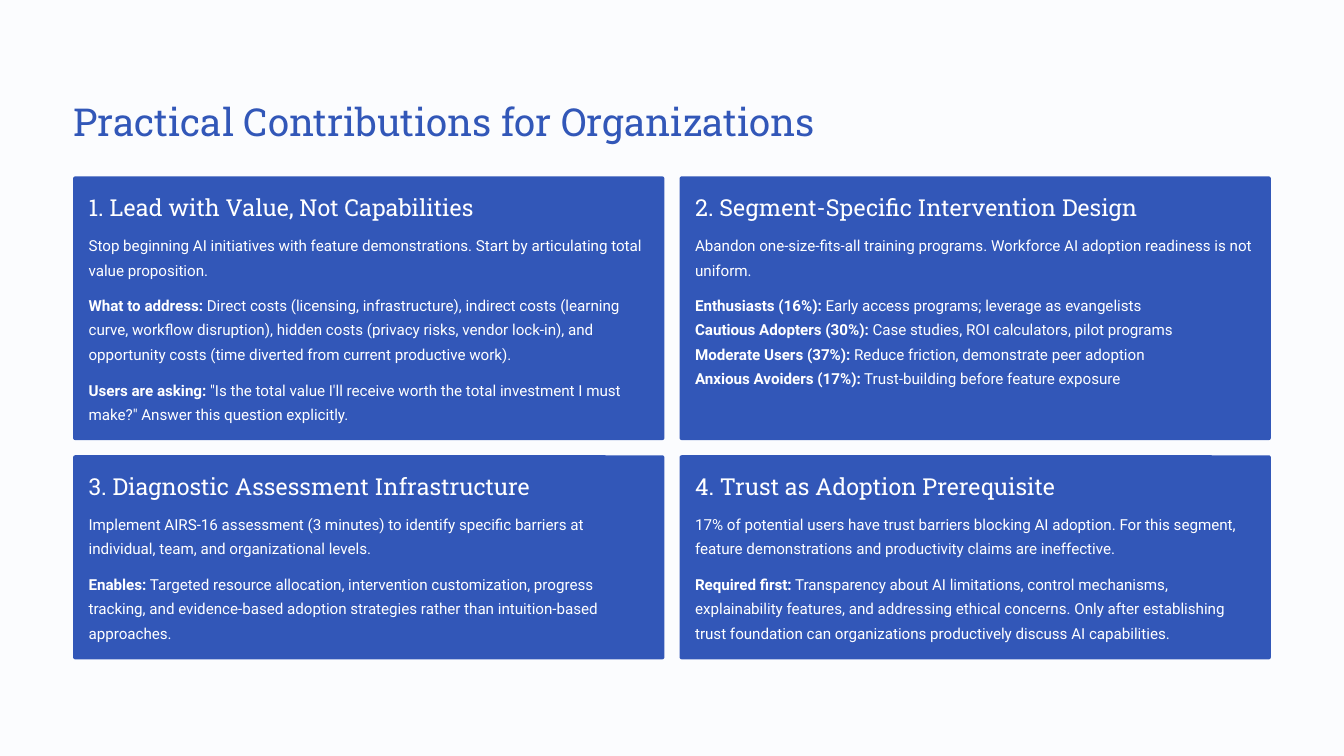
from pptx import Presentation
from pptx.dml.color import RGBColor
from pptx.enum.shapes import MSO_SHAPE
from pptx.enum.text import MSO_ANCHOR
from pptx.util import Inches, Pt

COLORS = {"background": "FBFCFE", "blue": "3257B8", "white": "FFFFFF"}
HEADING_FONT, BODY_FONT = "Roboto Slab", "Roboto"

LEFT, TOP = 0.87, 2.1
CARD_WIDTH, ROW_HEIGHTS, GAP = 7.04, (3.14, 2.43), 0.18
PADDING = 0.185
HEADING_HEIGHT, BODY_OFFSET = 0.35, 0.64
LINE_HEIGHT, BLOCK_GAP = 0.297, 0.117
CORNER_RADIUS = 0.027

# Each card: heading, heading width, blocks.
# Each block: lines it takes up, paragraphs of (bold lead, text).
CARDS = [
    ("1. Lead with Value, Not Capabilities", 4.6, [
        (2, [("", "Stop beginning AI initiatives with feature demonstrations. "
                  "Start by articulating total value proposition.")]),
        (3, [("What to address:",
              " Direct costs (licensing, infrastructure), indirect costs (learning curve, "
              "workflow disruption), hidden costs (privacy risks, vendor lock-in), and "
              "opportunity costs (time diverted from current productive work).")]),
        (2, [("Users are asking:",
              " \"Is the total value I'll receive worth the total investment I must make?\" "
              "Answer this question explicitly.")]),
    ]),
    ("2. Segment-Specific Intervention Design", 5.28, [
        (2, [("", "Abandon one-size-fits-all training programs. "
                  "Workforce AI adoption readiness is not uniform.")]),
        (4, [("Enthusiasts (16%):", " Early access programs; leverage as evangelists"),
             ("Cautious Adopters (30%):", " Case studies, ROI calculators, pilot programs"),
             ("Moderate Users (37%):", " Reduce friction, demonstrate peer adoption"),
             ("Anxious Avoiders (17%):", " Trust-building before feature exposure")]),
    ]),
    ("3. Diagnostic Assessment Infrastructure", 5.26, [
        (2, [("", "Implement AIRS-16 assessment (3 minutes) to identify specific barriers "
                  "at individual, team, and organizational levels.")]),
        (3, [("Enables:",
              " Targeted resource allocation, intervention customization, progress tracking, "
              "and evidence-based adoption strategies rather than intuition-based approaches.")]),
    ]),
    ("4. Trust as Adoption Prerequisite", 4.3, [
        (2, [("", "17% of potential users have trust barriers blocking AI adoption. For this "
                  "segment, feature demonstrations and productivity claims are ineffective.")]),
        (3, [("Required first:",
              " Transparency about AI limitations, control mechanisms, explainability features, "
              "and addressing ethical concerns. Only after establishing trust foundation can "
              "organizations productively discuss AI capabilities.")]),
    ]),
]


def color(name):
    return RGBColor.from_string(COLORS[name])


def add_text(slide, box, paragraphs, font, size, line_spacing, color_name, wrap=True):
    """Place paragraphs, each a (bold lead, text) pair, in a box without margins."""
    frame = slide.shapes.add_textbox(*map(Inches, box)).text_frame
    frame.word_wrap = wrap
    frame.vertical_anchor = MSO_ANCHOR.TOP
    frame.margin_left = frame.margin_right = frame.margin_top = frame.margin_bottom = 0
    for index, parts in enumerate(paragraphs):
        paragraph = frame.add_paragraph() if index else frame.paragraphs[0]
        paragraph.line_spacing = Pt(line_spacing)
        for text, bold in zip(parts, (True, False)):
            if not text:
                continue
            run = paragraph.add_run()
            run.text = text
            run.font.name = font
            run.font.size = Pt(size)
            run.font.bold = bold
            run.font.color.rgb = color(color_name)


def add_title(slide, box, text):
    add_text(slide, box, [("", text)], HEADING_FONT, 33, 41.5, "blue", wrap=False)


def add_card(slide, box, heading, heading_width, blocks):
    left, top, width, height = box
    card = slide.shapes.add_shape(MSO_SHAPE.ROUNDED_RECTANGLE, *map(Inches, box))
    card.adjustments[0] = CORNER_RADIUS / height
    card.shadow.inherit = False
    card.fill.solid()
    card.fill.fore_color.rgb = color("blue")
    card.line.fill.background()

    text_left, text_width = left + PADDING, width - 2 * PADDING
    add_text(slide, (text_left, top + PADDING, heading_width, HEADING_HEIGHT),
             [("", heading)], HEADING_FONT, 20, 25, "white", wrap=False)
    block_top = top + BODY_OFFSET
    for lines, paragraphs in blocks:
        block_height = lines * LINE_HEIGHT
        add_text(slide, (text_left, block_top, text_width, block_height),
                 paragraphs, BODY_FONT, 13, 21, "white")
        block_top += block_height + BLOCK_GAP


def add_card_grid(slide, left, top):
    for index, card in enumerate(CARDS):
        row, column = divmod(index, 2)
        card_left = left + column * (CARD_WIDTH + GAP)
        card_top = top + sum(ROW_HEIGHTS[:row]) + row * GAP
        add_card(slide, (card_left, card_top, CARD_WIDTH, ROW_HEIGHTS[row]), *card)


def main():
    presentation = Presentation()
    presentation.slide_width, presentation.slide_height = Inches(16), Inches(9)
    slide = presentation.slides.add_slide(presentation.slide_layouts[6])
    slide.background.fill.solid()
    slide.background.fill.fore_color.rgb = color("background")
    add_title(slide, (LEFT, 1.14, 8.98, 0.58), "Practical Contributions for Organizations")
    add_card_grid(slide, LEFT, TOP)
    presentation.save("out.pptx")


if __name__ == "__main__":
    main()
